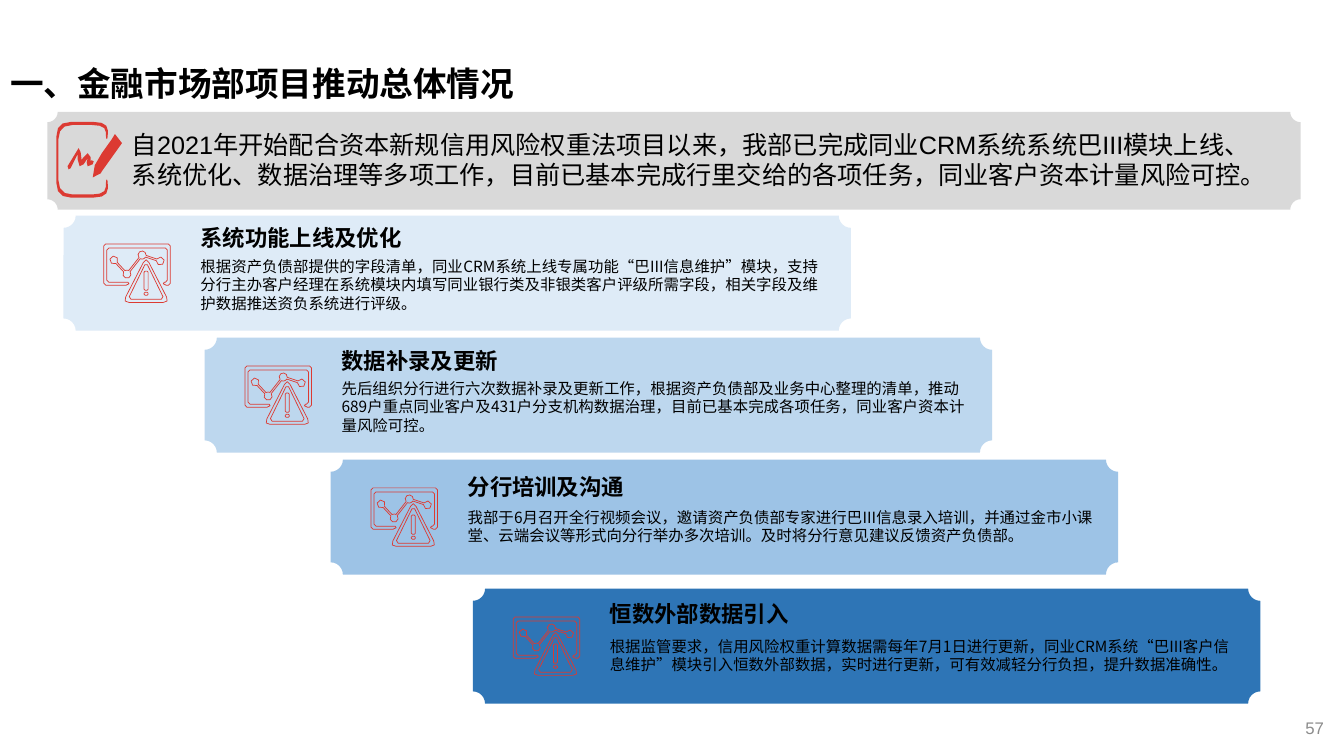
import math

from lxml import etree
from pptx import Presentation
from pptx.dml.color import RGBColor
from pptx.enum.shapes import MSO_SHAPE
from pptx.enum.text import MSO_ANCHOR, PP_ALIGN
from pptx.oxml.ns import qn
from pptx.util import Inches, Pt

PLAQUE = MSO_SHAPE.PLAQUE
TOP, MIDDLE = MSO_ANCHOR.TOP, MSO_ANCHOR.MIDDLE
LEFT, RIGHT = PP_ALIGN.LEFT, PP_ALIGN.RIGHT

BLACK = RGBColor(0x00, 0x00, 0x00)
GREY_TEXT = RGBColor(0x8C, 0x8C, 0x8C)
GREY_PANEL = RGBColor(0xD9, 0xD9, 0xD9)
RED = RGBColor(0xDC, 0x3A, 0x32)
BLUES = [RGBColor(0xDE, 0xEB, 0xF7), RGBColor(0xBD, 0xD7, 0xEE),
         RGBColor(0x9D, 0xC3, 0xE6), RGBColor(0x2E, 0x75, 0xB6)]

ARIAL, NOTO = "Arial", "Noto Sans CJK SC"
TITLE = {"name": NOTO, "size": Pt(24), "bold": True}
SUMMARY = {"name": ARIAL, "size": Pt(18)}
HEADING = {"name": ARIAL, "size": Pt(16), "bold": True}
BODY = {"name": NOTO, "size": Pt(11)}
NUMBER = {"name": ARIAL, "size": Pt(12)}

SUMMARY_TEXT = ("自2021年开始配合资本新规信用风险权重法项目以来，我部已完成同业CRM系统系统巴III模块上线、"
                "系统优化、数据治理等多项工作，目前已基本完成行里交给的各项任务，同业客户资本计量风险可控。")

# left, top, heading offset, body offset, body height, heading, body
STEPS = [
    (0.63, 2.14, 0.03, 0.36, 0.65, "系统功能上线及优化",
     "根据资产负债部提供的字段清单，同业CRM系统上线专属功能“巴III信息维护”模块，支持分行主办客户经理在系统模块内"
     "填写同业银行类及非银类客户评级所需字段，相关字段及维护数据推送资负系统进行评级。"),
    (2.03, 3.35, 0.04, 0.36, 0.65, "数据补录及更新",
     "先后组织分行进行六次数据补录及更新工作，根据资产负债部及业务中心整理的清单，推动689户重点同业客户及431户"
     "分支机构数据治理，目前已基本完成各项任务，同业客户资本计量风险可控。"),
    (3.28, 4.56, 0.08, 0.43, 0.47, "分行培训及沟通",
     "我部于6月召开全行视频会议，邀请资产负债部专家进行巴III信息录入培训，并通过金市小课堂、云端会议等形式向分行"
     "举办多次培训。及时将分行意见建议反馈资产负债部。"),
    (4.69, 5.84, 0.06, 0.43, 0.47, "恒数外部数据引入",
     "根据监管要求，信用风险权重计算数据需每年7月1日进行更新，同业CRM系统“巴III客户信息维护”模块引入恒数外部"
     "数据，实时进行更新，可有效减轻分行负担，提升数据准确性。"),
]

# Icon outlines, in inches from the icon's corner
CLIPBOARD = [(0.51, 0.57), (0.51, 0.75), (0, 0.75), (0, 0), (0.51, 0), (0.51, 0.17),
             (0.49, 0.17), (0.49, 0.03), (0.02, 0.03), (0.02, 0.72), (0.49, 0.72), (0.49, 0.57)]
PEN = [(0.58, 0.12), (0.65, 0.21), (0.45, 0.49), (0.44, 0.51), (0.36, 0.55),
       (0.38, 0.43), (0.45, 0.31), (0.55, 0.17)]
SCRIBBLE = [(0.31, 0.44), (0.36, 0.42), (0.37, 0.39), (0.35, 0.38), (0.34, 0.39),
            (0.34, 0.35), (0.31, 0.31), (0.26, 0.36), (0.25, 0.38), (0.24, 0.3),
            (0.22, 0.26), (0.11, 0.44), (0.12, 0.47), (0.14, 0.46), (0.21, 0.32),
            (0.21, 0.37), (0.23, 0.44), (0.27, 0.42), (0.31, 0.36), (0.3, 0.4)]
MONITOR = [(0.6, 0.41), (0.58, 0.38), (0.63, 0.38), (0.63, 0.04), (0.03, 0.04), (0.03, 0.38),
           (0.26, 0.38), (0.24, 0.41), (0, 0.41), (0, 0), (0.66, 0), (0.66, 0.41)]
TRIANGLE = [(0.42, 0.13), (0.65, 0.58), (0.19, 0.58)]
INNER_TRIANGLE = [(0.42, 0.18), (0.6, 0.55), (0.24, 0.55)]
EXCLAMATION = [(0.4, 0.27), (0.44, 0.27), (0.44, 0.46), (0.4, 0.46)]
DOT = [(0.4, 0.48), (0.44, 0.48), (0.44, 0.51), (0.4, 0.51)]
GRAPH_NODES = [(0.1, 0.16), (0.23, 0.3), (0.38, 0.11), (0.56, 0.17)]


def rounded(corners, radius, steps=1):
    """Return the outline with each corner cut by a curve of a few steps."""
    outline = []
    for index, (x, y) in enumerate(corners):
        ends = []
        for near_x, near_y in (corners[index - 1], corners[(index + 1) % len(corners)]):
            length = math.hypot(near_x - x, near_y - y)
            share = min(radius / length, 0.5)
            ends.append((x + (near_x - x) * share, y + (near_y - y) * share))
        (start_x, start_y), (end_x, end_y) = ends
        for step in range(steps + 1):
            t = step / steps
            a, b, c = (1 - t) ** 2, 2 * t * (1 - t), t ** 2
            outline.append((a * start_x + b * x + c * end_x, a * start_y + b * y + c * end_y))
    return outline


def linked_nodes(nodes, radius=0.04, gap=0.22, steps=5):
    """Return one outline around a chain of circles joined by thin bars."""
    walk = nodes + nodes[-2:0:-1]
    outline = []
    for index, (x, y) in enumerate(walk):
        before, after = walk[index - 1], walk[(index + 1) % len(walk)]
        start = math.atan2(before[1] - y, before[0] - x) + gap
        end = math.atan2(after[1] - y, after[0] - x) - gap
        span = (end - start) % (2 * math.pi)
        for step in range(steps + 1):
            angle = start + span * step / steps
            outline.append((x + radius * math.cos(angle), y + radius * math.sin(angle)))
    return outline


def paint(shape, fill, line=None):
    shape.shadow.inherit = False
    shape.fill.solid()
    shape.fill.fore_color.rgb = fill
    if line is None:
        shape.line.fill.background()
    else:
        shape.line.color.rgb = line
        shape.line.width = Pt(0.5)


def add_icon(slide, left, top, outlines, fill, line=None):
    placed = [[(Inches(left + x), Inches(top + y)) for x, y in outline] for outline in outlines]
    builder = slide.shapes.build_freeform(*placed[0][0])
    builder.add_line_segments(placed[0][1:])
    for outline in placed[1:]:
        builder.move_to(*outline[0])
        builder.add_line_segments(outline[1:])
    paint(builder.convert_to_shape(), fill, line)


def add_plaque(slide, left, top, width, height, fill):
    shape = slide.shapes.add_shape(PLAQUE, Inches(left), Inches(top), Inches(width), Inches(height))
    shape.adjustments[0] = 0.106
    paint(shape, fill)


def write(shape, text, style, color=BLACK, anchor=TOP, align=LEFT):
    frame = shape.text_frame
    frame.word_wrap = True
    frame.vertical_anchor = anchor
    paragraph = frame.paragraphs[0]
    paragraph.alignment = align
    run = paragraph.add_run()
    run.text = text
    for name, value in style.items():
        setattr(run.font, name, value)
    run.font.color.rgb = color
    east_asian = etree.SubElement(run.font._element, qn("a:ea"))
    east_asian.set("typeface", NOTO)
    return paragraph


def add_text(slide, left, top, width, height, text, style, **layout):
    box = slide.shapes.add_textbox(Inches(left), Inches(top), Inches(width), Inches(height))
    write(box, text, style, **layout)


def add_step(slide, fill, left, top, heading_offset, body_offset, body_height, heading, body):
    add_plaque(slide, left, top, 7.81, 1.14, fill)
    add_text(slide, left + 1.26, top + body_offset, 6.4, body_height, body, BODY)
    outlines = [rounded(MONITOR, 0.02), linked_nodes(GRAPH_NODES), rounded(TRIANGLE, 0.06, 2),
                rounded(INNER_TRIANGLE, 0.03), rounded(EXCLAMATION, 0.01), rounded(DOT, 0.01)]
    add_icon(slide, left + 0.4, top + 0.28, outlines, fill, RED)
    add_text(slide, left + 1.26, top + heading_offset, 2.85, 0.37, heading, HEADING)


def main():
    presentation = Presentation()
    presentation.slide_width, presentation.slide_height = Inches(13.33), Inches(7.5)
    slide = presentation.slides.add_slide(presentation.slide_layouts[5])

    # Title
    title = slide.shapes.title
    title.left, title.top, title.width, title.height = map(Inches, (0, 0.25, 11.5, 1.2))
    write(title, "一、金融市场部项目推动总体情况", TITLE, anchor=MIDDLE).line_spacing = 0.9

    # Summary banner
    add_plaque(slide, 0.47, 1.11, 12.43, 0.97, GREY_PANEL)
    add_text(slide, 1.21, 1.23, 11.45, 0.71, SUMMARY_TEXT, SUMMARY)
    add_icon(slide, 0.56, 1.21, [rounded(CLIPBOARD, 0.14, 3), PEN, SCRIBBLE], RED)

    # Staircase of steps
    for fill, step in zip(BLUES, STEPS):
        add_step(slide, fill, *step)

    # Slide number
    add_text(slide, 12.23, 7.06, 1, 0.33, "57", NUMBER, color=GREY_TEXT, anchor=MIDDLE, align=RIGHT)
    presentation.save("out.pptx")


if __name__ == "__main__":
    main()
